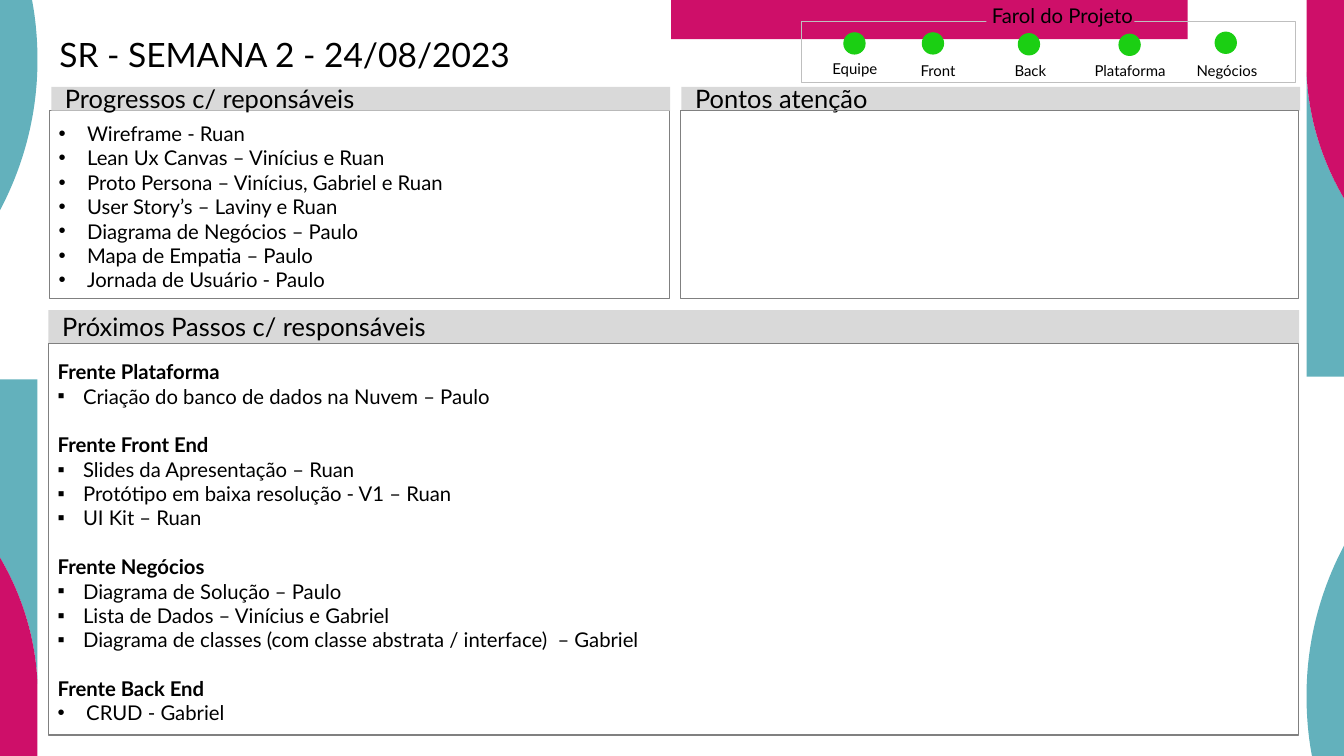
from lxml.etree import SubElement
from pptx import Presentation
from pptx.dml.color import RGBColor
from pptx.enum.shapes import MSO_SHAPE
from pptx.enum.text import MSO_ANCHOR, MSO_AUTO_SIZE, PP_ALIGN
from pptx.oxml.ns import qn
from pptx.util import Pt

COLORS = {
    "teal": "63B1BC",
    "magenta": "CE0F69",
    "green": "1BCF13",
    "header": "D9D9D9",
    "border": "808080",
    "frame": "BFBFBF",
    "text": "000000",
}
FONT = "Lato"
PAGE_WIDTH, PAGE_HEIGHT = 1058.4, 595.44
SIDE_WIDTH = 29.5
LINE_HEIGHT = 19.2

PROGRESS = [
    "Wireframe - Ruan",
    "Lean Ux Canvas – Vinícius e Ruan",
    "Proto Persona – Vinícius, Gabriel e Ruan",
    "User Story’s – Laviny e Ruan",
    "Diagrama de Negócios – Paulo",
    "Mapa de Empatia – Paulo",
    "Jornada de Usuário - Paulo",
]
NEXT_STEPS = [
    ("Frente Plataforma", "▪", 20, ["Criação do banco de dados na Nuvem – Paulo"]),
    ("Frente Front End", "▪", 20, [
        "Slides da Apresentação – Ruan",
        "Protótipo em baixa resolução - V1 – Ruan",
        "UI Kit – Ruan",
    ]),
    ("Frente Negócios", "▪", 20, [
        "Diagrama de Solução – Paulo",
        "Lista de Dados – Vinícius e Gabriel",
        "Diagrama de classes (com classe abstrata / interface)  – Gabriel",
    ]),
    ("Frente Back End", "•", 22.5, ["CRUD - Gabriel"]),
]
LIGHTS = [
    ("Equipe", 33.2, 9.3, 6.5, 30.2),
    ("Front", 95, 9.3, 72, 31.7),
    ("Back", 170.6, 10, 144.7, 31.7),
    ("Plataforma", 249.9, 10.4, 223.2, 31.7),
    ("Negócios", 325.6, 8.8, 299.5, 31.7),
]


def color(name):
    """Return the named colour."""
    return RGBColor.from_string(COLORS[name])


def place(shape, box):
    """Move a shape to a box given in points."""
    shape.left, shape.top, shape.width, shape.height = map(Pt, box)


def set_frame(shape, insets, anchor, wrap=True):
    """Set insets, anchor and wrapping, and return the text frame."""
    frame = shape.text_frame
    frame.auto_size = MSO_AUTO_SIZE.NONE
    frame.word_wrap = wrap
    frame.vertical_anchor = anchor
    (frame.margin_left, frame.margin_top,
     frame.margin_right, frame.margin_bottom) = map(Pt, insets)
    return frame


def write(para, text, size, bold=False, align=PP_ALIGN.LEFT):
    """Fill a paragraph with text in the slide font."""
    para.text = text
    para.alignment = align
    para.font.name = FONT
    para.font.size = Pt(size)
    para.font.bold = bold
    para.font.color.rgb = color("text")


def add_box(page, box, fill=None, line=None, kind=MSO_SHAPE.RECTANGLE, weight=1):
    """Add a flat preset shape."""
    shape = page.shapes.add_shape(kind, *map(Pt, box))
    shape.shadow.inherit = False
    if fill:
        shape.fill.solid()
        shape.fill.fore_color.rgb = color(fill)
    else:
        shape.fill.background()
    if line:
        shape.line.color.rgb = color(line)
        shape.line.width = Pt(weight)
    else:
        shape.line.fill.background()
    return shape


def add_outline(page, corners, curves, fill):
    """Add a filled outline of straight corners followed by cubic curves."""
    points = [(Pt(x), Pt(y)) for x, y in corners + curves]
    builder = page.shapes.build_freeform(*points[0], scale=1)
    builder.add_line_segments(points[1:], close=True)
    shape = builder.convert_to_shape()
    segments = list(shape._element.iter(qn("a:lnTo")))[len(corners) - 1:]
    for index in range(0, len(curves), 3):
        bend = segments[index]
        bend.tag = qn("a:cubicBezTo")
        for follower in segments[index + 1:index + 3]:
            bend.append(follower[0])
            follower.getparent().remove(follower)
    shape.shadow.inherit = False
    shape.fill.solid()
    shape.fill.fore_color.rgb = color(fill)
    shape.line.fill.background()


def add_side(page, turned):
    """Draw the left border, or the right one as its half turn."""
    edge = SIDE_WIDTH
    seam = [(17.3, 468.7), (28.1, 502.6), (edge, 538.6)]
    leaf = [(18.7, 130.3), (edge, 90), (edge, 47.5), (edge, 31), (28.1, 15.1), (25.2, 0)]
    outlines = [
        ([(25.2, 0), (0, 0), (0, 165.6)], leaf, "teal"),
        ([(edge, 538.6), (edge, 298.8), (0, 298.8), (0, 439.2)], seam, "teal"),
        ([(edge, 538.6), (edge, PAGE_HEIGHT), (0, PAGE_HEIGHT), (0, 439.2)],
         seam, "magenta"),
    ]
    for corners, curves, fill in outlines:
        if turned:
            corners, curves = (
                [(PAGE_WIDTH - x, PAGE_HEIGHT - y) for x, y in points]
                for points in (corners, curves))
        add_outline(page, corners, curves, fill)


def add_header(page, box, text):
    """Draw a grey section header."""
    shape = add_box(page, box, fill="header")
    frame = set_frame(shape, (10.8, 5, 10.8, 5), MSO_ANCHOR.MIDDLE)
    write(frame.paragraphs[0], text, 20)


def set_bullet(para, mark, indent):
    """Give a paragraph a hanging bullet, or none."""
    props = para._p.get_or_add_pPr()
    props.set("marL", str(Pt(indent)))
    props.set("indent", str(-Pt(indent)))
    if mark:
        SubElement(props, qn("a:buFont")).set("typeface", "Arial")
        SubElement(props, qn("a:buChar")).set("char", mark)
    else:
        SubElement(props, qn("a:buNone"))


def fill_list(holder, box, lines, anchor):
    """Place a bordered list of (text, bullet, indent, bold, space) lines."""
    place(holder, box)
    holder.line.color.rgb = color("border")
    holder.line.width = Pt(1)
    frame = set_frame(holder, (7.2, 8.5, 7.2, 3.6), anchor)
    for index, (text, mark, indent, bold, space) in enumerate(lines):
        para = frame.add_paragraph() if index else frame.paragraphs[0]
        write(para, text, 16, bold)
        para.space_before = Pt(space)
        para.space_after = Pt(0)
        set_bullet(para, mark, indent)


def add_status(page, box):
    """Draw the project status frame with its lights."""
    left, top, width, height = box
    add_box(page, box, line="frame", weight=0.5)
    labels = []
    for name, light_x, light_y, label_x, label_y in LIGHTS:
        add_box(page, (left + light_x, top + light_y, 16.6, 16.6),
                fill="green", line="green", kind=MSO_SHAPE.OVAL)
        spot = (left + label_x, top + label_y, 70.6, 14.4)
        labels.append((page.shapes.add_textbox(*map(Pt, spot)), name, 11.8, 4.3))
    caption = add_box(page, (left + 145.4, top - 11.5, 116.6, 16.6), fill="magenta")
    labels.append((caption, "Farol do Projeto", 16, 7.5))
    for shape, text, size, inset in labels:
        frame = set_frame(shape, (inset, 4.3, 4.3, 0), MSO_ANCHOR.BOTTOM, wrap=False)
        write(frame.paragraphs[0], text, size, align=PP_ALIGN.CENTER)


def add_title(page, box, text):
    """Place the slide title."""
    title = page.shapes.title
    place(title, box)
    frame = set_frame(title, (8.64, 0, 8.64, 0), MSO_ANCHOR.TOP)
    write(frame.paragraphs[0], text, 26.4)
    frame.paragraphs[0].line_spacing = 0.9


def main():
    """Build the weekly status slide."""
    deck = Presentation()
    deck.slide_width, deck.slide_height = Pt(PAGE_WIDTH), Pt(PAGE_HEIGHT)
    page = deck.slides.add_slide(deck.slide_layouts[3])
    add_side(page, turned=False)
    add_side(page, turned=True)
    add_box(page, (528.5, 0, 406.8, 30.8), fill="magenta")
    add_title(page, (38.1, 30.2, 952.6, 63.4), "SR - SEMANA 2 - 24/08/2023")
    add_status(page, (631.4, 16.6, 388.8, 48.6))

    add_header(page, (40.4, 68.4, 487.4, 18.7), "Progressos c/ reponsáveis")
    progress = [(text, "•", 22.5, False, 0) for text in PROGRESS]
    fill_list(page.placeholders[1], (38.9, 87, 488.2, 148.2), progress, MSO_ANCHOR.TOP)
    add_header(page, (536.6, 68.4, 487.4, 18.7), "Pontos atenção")
    add_box(page, (535.7, 87, 487.2, 148.2), line="border")

    add_header(page, (38.1, 244.2, 985, 25.9), "Próximos Passos c/ responsáveis")
    steps = []
    for front, mark, indent, tasks in NEXT_STEPS:
        steps.append((front, None, 0, True, LINE_HEIGHT if steps else 0))
        steps += [(task, mark, indent, False, 0) for task in tasks]
    fill_list(page.placeholders[2], (38.2, 270.3, 984.2, 308.6), steps, MSO_ANCHOR.MIDDLE)
    deck.save("out.pptx")


if __name__ == "__main__":
    main()
